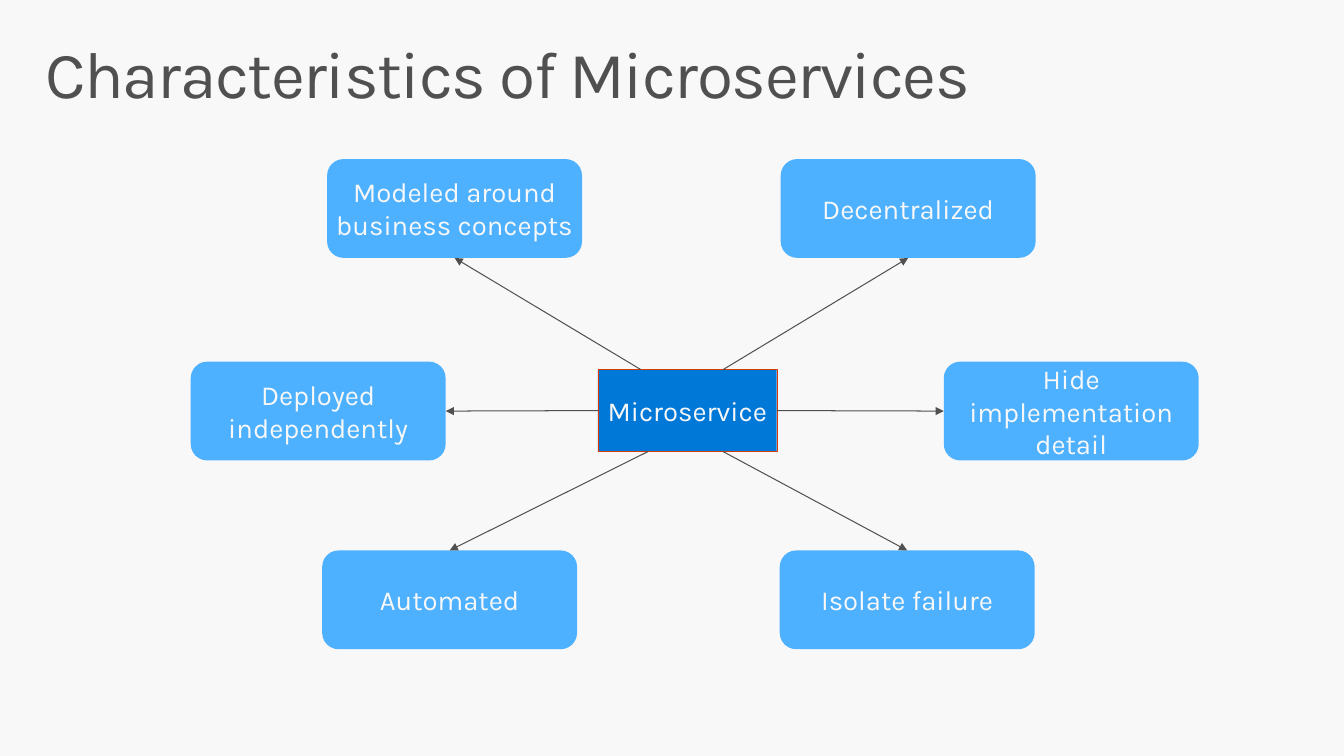
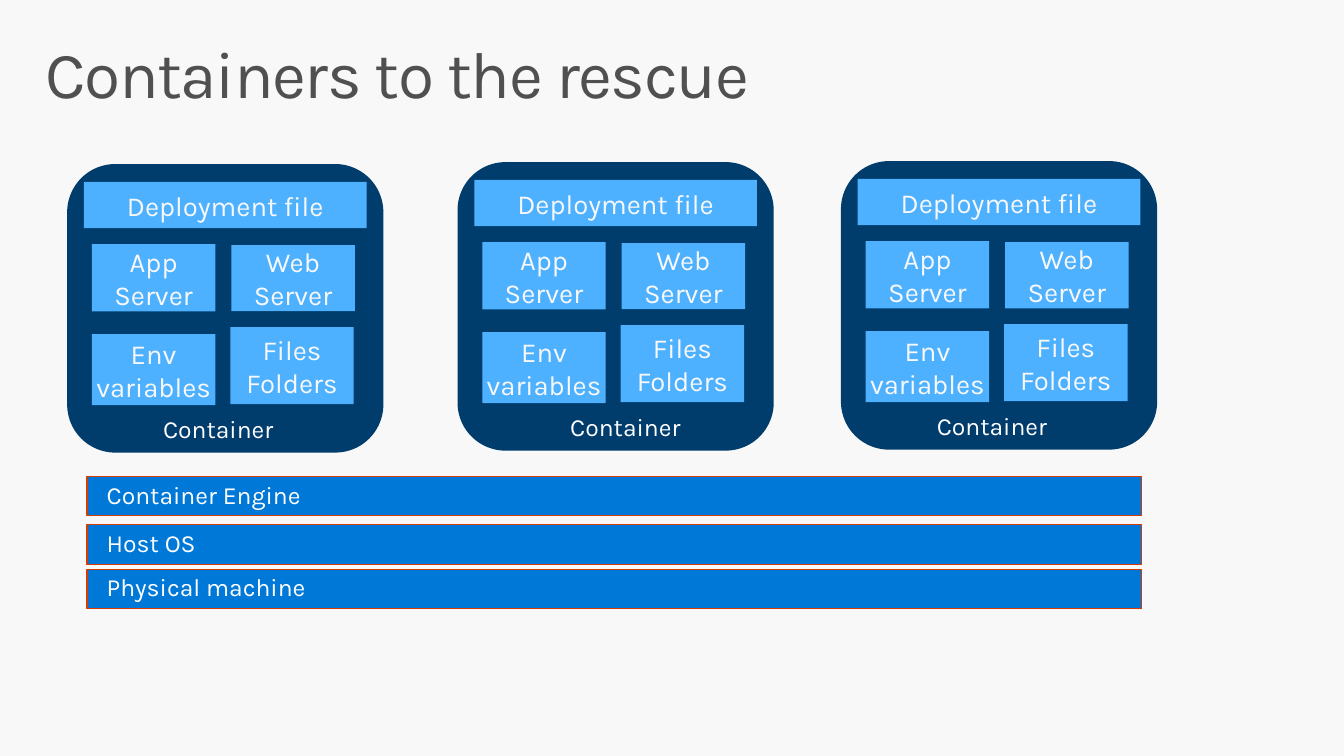
from dataclasses import dataclass

from lxml.etree import SubElement
from pptx import Presentation
from pptx.dml.color import RGBColor
from pptx.enum.shapes import MSO_CONNECTOR, MSO_SHAPE
from pptx.enum.text import MSO_ANCHOR, MSO_AUTO_SIZE, PP_ALIGN
from pptx.oxml.ns import qn
from pptx.util import Inches, Pt


@dataclass(frozen=True)
class Theme:
    font: str = "Karla"
    paper: str = "F8F8F8"
    white: str = "FFFFFF"
    ink: str = "505050"
    sky: str = "4EB1FF"
    blue: str = "0078D7"
    navy: str = "003C6C"
    outline: str = "D83B01"
    title_size: int = 48
    box_size: int = 20
    label_size: int = 18
    line_spacing: float = 0.9
    tight: tuple = (0, 0.05)
    roomy: tuple = (0.2, 0.16)


THEME = Theme()
SLIDE_SIZE = (13.6, 7.65)
TITLE_BOX = (0.3, 0.32, 13, 1)
TITLE_INSETS = (0.16, 0.1)
ON_TOP, ON_LEFT, ON_BOTTOM, ON_RIGHT = range(4)  # connection sites of a box

MICROSERVICES_TITLE = "Characteristics of Microservices"
HUB = ("Microservice", (6.05, 3.74, 1.81, 0.83))
TRAIT_SIZE = (2.58, 1)
# text, left, top, site where the arrow lands, arrow start as shares of the hub
TRAITS = [
    ("Hide implementation detail", 9.55, 3.66, ON_LEFT, (1, 0.5)),
    ("Modeled around business concepts", 3.31, 1.61, ON_BOTTOM, (0.24, 0)),
    ("Automated", 3.26, 5.57, ON_TOP, (0.28, 1)),
    ("Decentralized", 7.9, 1.61, ON_BOTTOM, (0.7, 0)),
    ("Deployed independently", 1.93, 3.66, ON_RIGHT, (0, 0.5)),
    ("Isolate failure", 7.89, 5.57, ON_TOP, (0.7, 1)),
]

CONTAINERS_TITLE = "Containers to the rescue"
LAYER_LEFT, LAYER_WIDTH, LAYER_HEIGHT = 0.88, 10.67, 0.4
LAYERS = [("Container Engine", 4.82), ("Host OS", 5.31), ("Physical machine", 5.76)]
CONTAINER_SIZE = (3.2, 2.92)
CONTAINER_LABEL = "Container"
LABEL_TOP, LABEL_SIZE = 2.4, (1.83, 0.6)
# left, top, indent of the label
CONTAINERS = [(0.68, 1.66, 0.77), (4.63, 1.64, 0.94), (8.51, 1.63, 0.77)]
# lines of text, place inside the container
PARTS = [
    (["App Server"], (0.25, 0.81, 1.25, 0.68)),
    (["Web Server"], (1.66, 0.82, 1.25, 0.67)),
    (["Deployment file"], (0.17, 0.18, 2.86, 0.47)),
    (["Env variables"], (0.25, 1.72, 1.25, 0.72)),
    (["Files", "Folders"], (1.65, 1.65, 1.25, 0.78)),
]


def color(code):
    return RGBColor.from_string(code)


def inches(values):
    return [Inches(value) for value in values]


def write(frame, lines, size, ink, insets, anchor, align, spacing=None):
    frame.word_wrap = True
    frame.auto_size = MSO_AUTO_SIZE.NONE
    frame.vertical_anchor = anchor
    frame.margin_left = frame.margin_right = Inches(insets[0])
    frame.margin_top = frame.margin_bottom = Inches(insets[1])
    for index, line in enumerate(lines):
        paragraph = frame.add_paragraph() if index else frame.paragraphs[0]
        paragraph.alignment = align
        paragraph.line_spacing = spacing
        run = paragraph.add_run()
        run.text = line
        run.font.name = THEME.font
        run.font.size = Pt(size)
        run.font.color.rgb = color(ink)


def add_titled_slide(deck, title):
    slide = deck.slides.add_slide(deck.slide_layouts[5])
    heading = slide.shapes.title
    heading.left, heading.top, heading.width, heading.height = inches(TITLE_BOX)
    write(heading.text_frame, [title], THEME.title_size, THEME.ink, TITLE_INSETS,
          MSO_ANCHOR.TOP, PP_ALIGN.LEFT, THEME.line_spacing)
    heading.text_frame.paragraphs[0].runs[0].font._element.set("spc", "-100")
    return slide


def add_panel(slide, box, fill, outline_width=None, preset=MSO_SHAPE.RECTANGLE):
    panel = slide.shapes.add_shape(preset, *inches(box))
    panel.shadow.inherit = False
    panel.fill.solid()
    panel.fill.fore_color.rgb = color(fill)
    if outline_width:
        panel.line.color.rgb = color(THEME.outline)
        panel.line.width = Pt(outline_width)
    else:
        panel.line.fill.background()
    return panel


def add_box(slide, lines, box, fill=THEME.sky, **look):
    """Add a panel with centred text."""
    panel = add_panel(slide, box, fill, **look)
    write(panel.text_frame, lines, THEME.box_size, THEME.paper, THEME.tight,
          MSO_ANCHOR.MIDDLE, PP_ALIGN.CENTER)
    return panel


def write_label(frame, text, anchor):
    write(frame, [text], THEME.label_size, THEME.white, THEME.roomy,
          anchor, PP_ALIGN.LEFT, THEME.line_spacing)


def add_arrow(slide, start, target, site):
    arrow = slide.shapes.add_connector(MSO_CONNECTOR.STRAIGHT, *inches(start * 2))
    arrow.end_connect(target, site)
    arrow.line.color.rgb = color(THEME.ink)
    arrow.line.width = Pt(0.75)
    SubElement(arrow.line._get_or_add_ln(), qn("a:tailEnd"), type="triangle")
    SubElement(arrow._element.spPr, qn("a:effectLst"))


def build_microservices(deck):
    slide = add_titled_slide(deck, MICROSERVICES_TITLE)
    hub_text, hub = HUB
    add_box(slide, [hub_text], hub, THEME.blue, outline_width=0.25)
    left, top, width, height = hub
    for text, x, y, site, (across, down) in TRAITS:
        trait = add_box(slide, [text], (x, y, *TRAIT_SIZE),
                        preset=MSO_SHAPE.ROUNDED_RECTANGLE)
        add_arrow(slide, (left + across * width, top + down * height), trait, site)


def build_containers(deck):
    slide = add_titled_slide(deck, CONTAINERS_TITLE)
    for text, top in LAYERS:
        layer = add_panel(slide, (LAYER_LEFT, top, LAYER_WIDTH, LAYER_HEIGHT),
                          THEME.blue, outline_width=0.85)
        write_label(layer.text_frame, text, MSO_ANCHOR.MIDDLE)
    for left, top, indent in CONTAINERS:
        add_panel(slide, (left, top, *CONTAINER_SIZE), THEME.navy,
                  preset=MSO_SHAPE.ROUNDED_RECTANGLE)
        label = slide.shapes.add_textbox(
            *inches((left + indent, top + LABEL_TOP, *LABEL_SIZE)))
        write_label(label.text_frame, CONTAINER_LABEL, MSO_ANCHOR.TOP)
        for lines, (x, y, width, height) in PARTS:
            add_box(slide, lines, (left + x, top + y, width, height))


def main():
    deck = Presentation()
    deck.slide_width, deck.slide_height = inches(SLIDE_SIZE)
    backdrop = deck.slide_master.background.fill
    backdrop.solid()
    backdrop.fore_color.rgb = color(THEME.paper)
    build_microservices(deck)
    build_containers(deck)
    deck.save("out.pptx")


if __name__ == "__main__":
    main()
